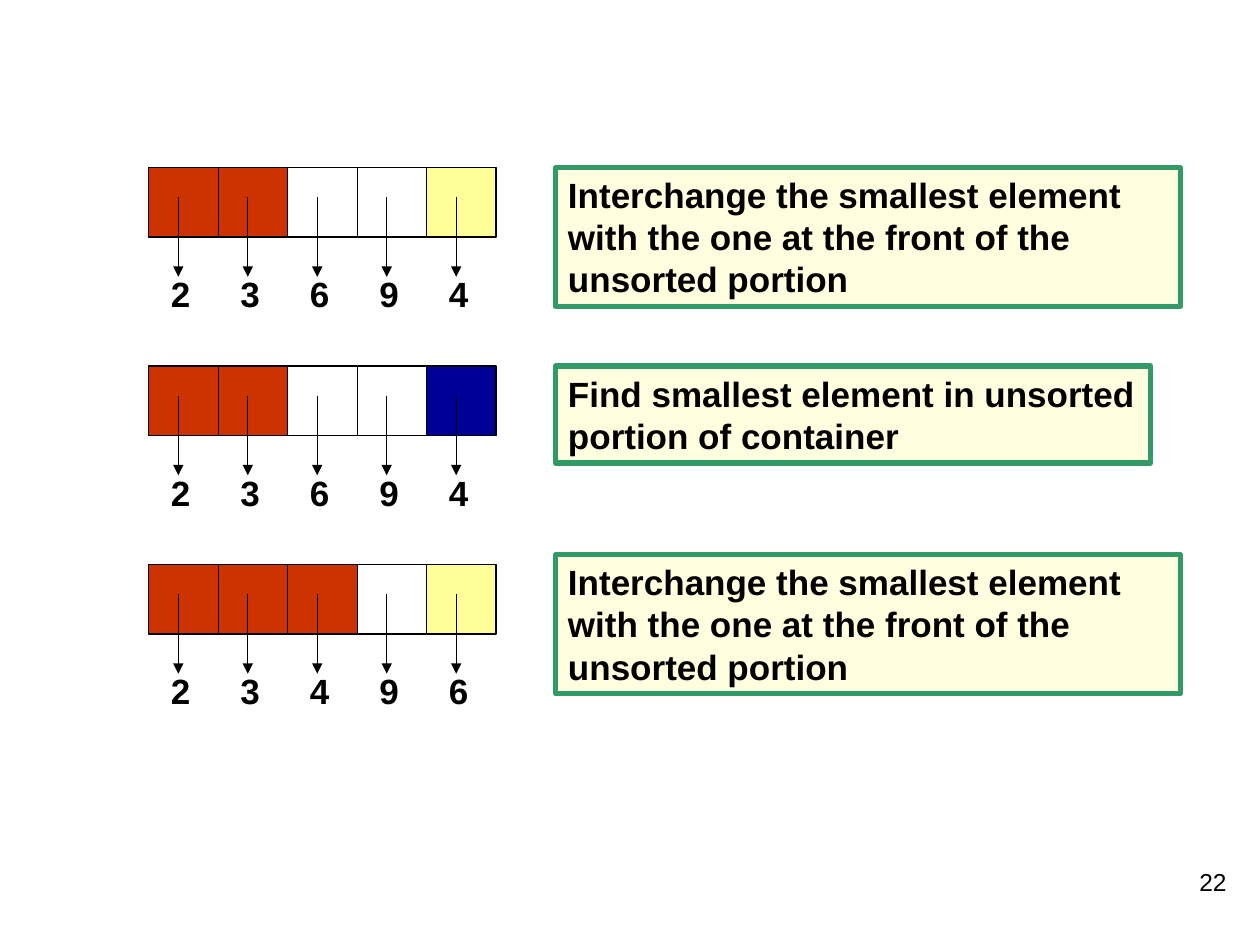
from pptx import Presentation
from pptx.dml.color import RGBColor
from pptx.enum.shapes import MSO_CONNECTOR, MSO_SHAPE
from pptx.enum.text import MSO_ANCHOR, PP_ALIGN
from pptx.oxml.ns import qn
from pptx.util import Pt
from lxml import etree

RECTANGLE = MSO_SHAPE.RECTANGLE
STRAIGHT = MSO_CONNECTOR.STRAIGHT
LEFT, RIGHT = PP_ALIGN.LEFT, PP_ALIGN.RIGHT
TOP = MSO_ANCHOR.TOP

COLORS = {
    "black": "000000",
    "sorted": "CC3300",
    "swapped": "FFFF99",
    "smallest": "000099",
    "note": "FFFFDF",
    "frame": "339966",
}

CELL = 39.7
ARRAY_LEFT, ARRAY_TOP, ROW_PITCH = 85, 95.8, 113.4
NOTE_LEFT = 317.5
SWAP_NOTE = ("Interchange the smallest element with the one "
             "at the front of the unsorted portion")
FIND_NOTE = "Find smallest element in unsorted portion of container"

# values, cell fills, note text, note top, note width, note height
STEPS = [
    ("23694", ["sorted", "sorted", None, None, "swapped"],
     SWAP_NOTE, 95.8, 357, 79.4),
    ("23694", ["sorted", "sorted", None, None, "smallest"],
     FIND_NOTE, 209.2, 340, 55.4),
    ("23496", ["sorted", "sorted", "sorted", None, "swapped"],
     SWAP_NOTE, 317, 357, 79.4),
]


def add_rectangle(left, top, width, height, fill, line, weight):
    box = page.shapes.add_shape(RECTANGLE, Pt(left), Pt(top), Pt(width), Pt(height))
    box.shadow.inherit = False
    if fill:
        box.fill.solid()
        box.fill.fore_color.rgb = RGBColor.from_string(COLORS[fill])
    else:
        box.fill.background()
    box.line.color.rgb = RGBColor.from_string(COLORS[line])
    box.line.width = Pt(weight)
    return box


def write(box, text, size=20, bold=True, align=LEFT):
    frame = box.text_frame
    frame.word_wrap = True
    frame.vertical_anchor = TOP
    para = frame.paragraphs[0]
    para.alignment = align
    span = para.add_run()
    span.text = text
    span.font.name = "Arial"
    span.font.size = Pt(size)
    span.font.bold = bold
    span.font.color.rgb = RGBColor.from_string(COLORS["black"])


deck = Presentation()
deck.slide_width, deck.slide_height = Pt(720), Pt(540)
page = deck.slides.add_slide(deck.slide_layouts[6])

for row, (values, fills, note, note_top, note_width, note_height) in enumerate(STEPS):
    top = ARRAY_TOP + row * ROW_PITCH
    for column, (value, fill) in enumerate(zip(values, fills)):
        left = ARRAY_LEFT + column * CELL
        add_rectangle(left, top, CELL, CELL, fill, "black", 0.75)

        digit = page.shapes.add_textbox(Pt(left + 5.6), Pt(top + 56.6), Pt(22.5), Pt(31.4))
        write(digit, value)

        middle = left + 16.9
        arrow = page.shapes.add_connector(
            STRAIGHT, Pt(middle), Pt(top + 17), Pt(middle), Pt(top + 62.4))
        arrow.line.color.rgb = RGBColor.from_string(COLORS["black"])
        arrow.line.width = Pt(0.75)
        properties = arrow.line._get_or_add_ln()
        etree.SubElement(properties, qn("a:tailEnd"), type="triangle")
        etree.SubElement(arrow._element.spPr, qn("a:effectLst"))

    note_box = add_rectangle(
        NOTE_LEFT, note_top, note_width, note_height, "note", "frame", 3)
    write(note_box, note)

number = page.shapes.add_textbox(Pt(558), Pt(491.8), Pt(150), Pt(36))
write(number, "22", size=14, bold=False, align=RIGHT)

deck.save("out.pptx")
